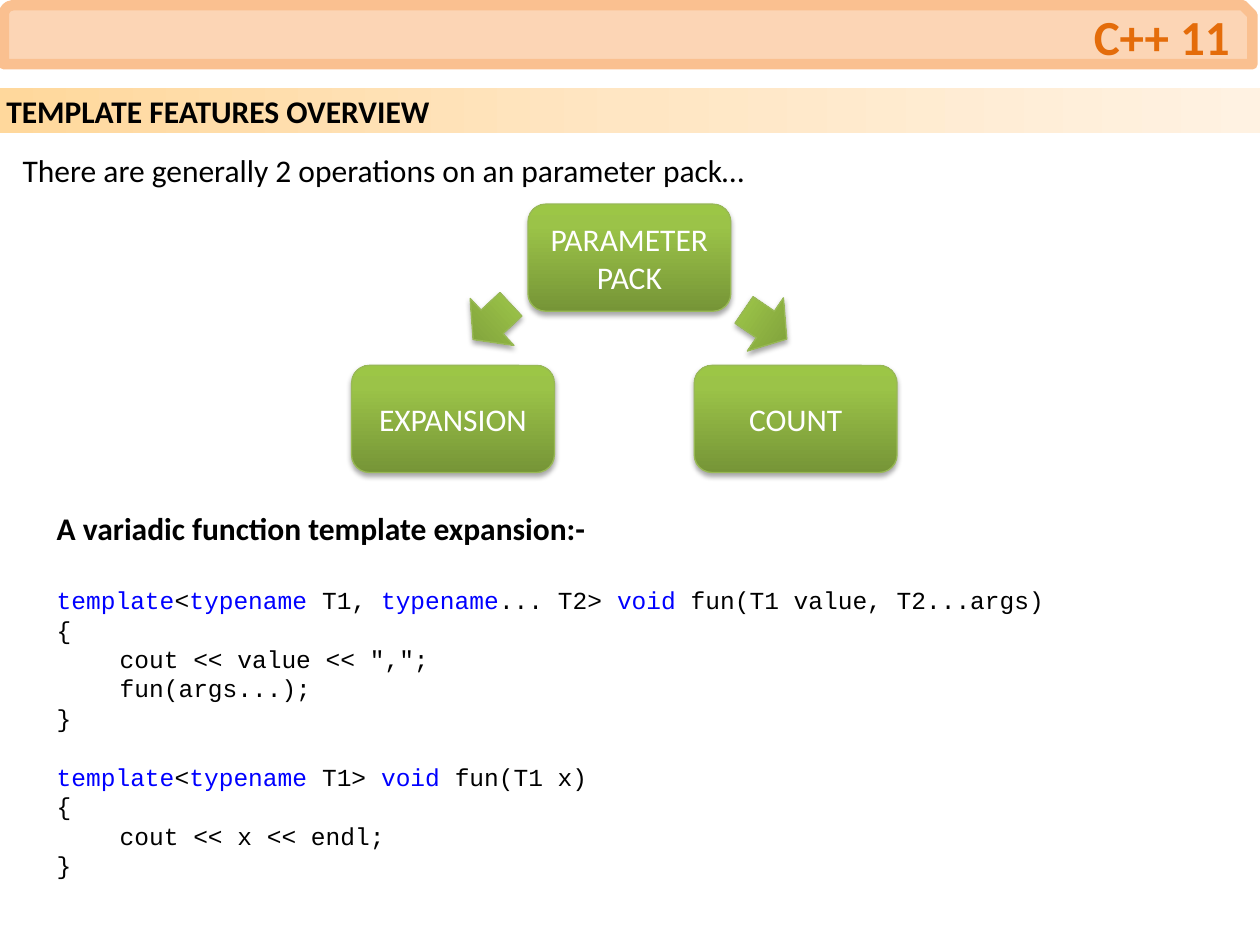
from dataclasses import dataclass

from lxml.etree import SubElement
from pptx import Presentation
from pptx.dml.color import RGBColor
from pptx.enum.shapes import MSO_SHAPE
from pptx.enum.text import MSO_ANCHOR, PP_ALIGN
from pptx.oxml.ns import qn
from pptx.util import Inches, Pt


@dataclass(frozen=True)
class Theme:
    sans: str = "Calibri"
    mono: str = "Courier New"
    title_size: int = 28
    body_size: int = 18
    code_size: int = 14
    code_pitch: float = 16.8
    black: str = "000000"
    white: str = "FFFFFF"
    keyword: str = "0000FF"
    title: str = "E46C0A"
    banner: str = "FCD5B5"
    banner_edge: str = "FAC090"
    node_edge: str = "98B955"
    heading_stops: tuple = ((0, "FFD89C"), (50, "FFE6C3"), (100, "FFF2E2"))
    node_stops: tuple = ((0, "769537"), (80, "9BC348"), (100, "9CC646"))


theme = Theme()


def write(frame, text, font=theme.sans, size=theme.body_size, color=theme.black,
          bold=False, align=PP_ALIGN.LEFT, anchor=MSO_ANCHOR.TOP, before=0, pitch=None):
    frame.word_wrap = True
    frame.vertical_anchor = anchor
    frame.margin_left = frame.margin_right = Inches(0.05)
    frame.margin_top = frame.margin_bottom = Inches(0.05)
    para = frame.paragraphs[0] if not frame.text else frame.add_paragraph()
    para.alignment = align
    if before:
        para.space_before = Pt(before)
    if pitch:
        para.line_spacing = Pt(pitch)
    for index, part in enumerate(text.split("~")):
        if part:
            span = para.add_run()
            span.text = part
            span.font.name = font
            span.font.size = Pt(size)
            span.font.bold = bold
            span.font.color.rgb = RGBColor.from_string(theme.keyword if index % 2 else color)


def shade(shape, stops, angle, raised=False):
    shape.shadow.inherit = False
    shape.line.fill.background()
    shape.fill.gradient()
    gradient = shape.fill._fill._gradFill
    stop_list = gradient.find(qn("a:gsLst"))
    for stop in list(stop_list):
        stop_list.remove(stop)
    for position, color in stops:
        stop = SubElement(stop_list, qn("a:gs"), pos=str(position * 1000))
        SubElement(stop, qn("a:srgbClr"), val=color)
    gradient.find(qn("a:lin")).set("ang", str(angle * 60000))
    if raised:
        shape.line.color.rgb = RGBColor.from_string(theme.node_edge)
        shape.line.width = Pt(0.75)
        effects = shape._element.spPr.find(qn("a:effectLst"))
        shadow = SubElement(effects, qn("a:outerShdw"), blurRad=str(Pt(3)), dist=str(Pt(1.8)),
                            dir=str(90 * 60000), rotWithShape="0")
        tint = SubElement(shadow, qn("a:srgbClr"), val=theme.black)
        SubElement(tint, qn("a:alpha"), val="35000")


deck = Presentation()
deck.slide_width, deck.slide_height = Inches(10), Inches(7.5)
page = deck.slides.add_slide(deck.slide_layouts[6])
shapes = page.shapes

banner = shapes.add_shape(MSO_SHAPE.SNIP_ROUND_RECTANGLE, Inches(0.03), Inches(0.04),
                          Inches(9.91), Inches(0.47))
banner.shadow.inherit = False
banner.fill.solid()
banner.fill.fore_color.rgb = RGBColor.from_string(theme.banner)
banner.line.color.rgb = RGBColor.from_string(theme.banner_edge)
banner.line.width = Pt(6)

title = shapes.add_textbox(Inches(0.15), Inches(0.04), Inches(9.66), Inches(0.49))
write(title.text_frame, "C++ 11", size=theme.title_size, color=theme.title, bold=True,
      align=PP_ALIGN.RIGHT, anchor=MSO_ANCHOR.MIDDLE)

heading = shapes.add_shape(MSO_SHAPE.RECTANGLE, 0, Inches(0.7), Inches(10), Inches(0.36))
shade(heading, theme.heading_stops, 0)
write(heading.text_frame, "TEMPLATE FEATURES OVERVIEW", bold=True, anchor=MSO_ANCHOR.MIDDLE)

intro = shapes.add_textbox(Inches(0.13), Inches(1.15), Inches(9.23), Inches(0.36))
write(intro.text_frame, "There are generally 2 operations on an parameter pack…")

for label, left, top in (("PARAMETER PACK", 4.19, 1.62), ("COUNT", 5.51, 2.9),
                         ("EXPANSION", 2.79, 2.9)):
    node = shapes.add_shape(MSO_SHAPE.ROUNDED_RECTANGLE, Inches(left), Inches(top),
                            Inches(1.61), Inches(0.85))
    shade(node, theme.node_stops, 270, raised=True)
    write(node.text_frame, label, color=theme.white, align=PP_ALIGN.CENTER,
          anchor=MSO_ANCHOR.MIDDLE)

for left, top, turn in ((5.82, 2.37, 304.2), (3.65, 2.35, 47)):
    arrow = shapes.add_shape(MSO_SHAPE.DOWN_ARROW, Inches(left), Inches(top),
                             Inches(0.51), Inches(0.41))
    arrow.rotation = turn
    shade(arrow, theme.node_stops, 270, raised=True)

code_lines = (
    ("~template~<~typename ~T1, ~typename~... T2> ~void~ fun(T1 value, T2...args)", 22),
    ("{", 0),
    ("\tcout << value << \",\";", 0),
    ("\tfun(args...);", 0),
    ("}", 0),
    ("~template~<~typename~ T1> ~void~ fun(T1 x)", theme.code_pitch),
    ("{", 0),
    ("\tcout << x << endl;", 0),
    ("}", 0),
)
code = shapes.add_textbox(Inches(0.4), Inches(3.99), Inches(9.19), Inches(2.96))
write(code.text_frame, "A variadic function template expansion:-", bold=True)
for line, gap in code_lines:
    write(code.text_frame, line, font=theme.mono, size=theme.code_size, before=gap,
          pitch=theme.code_pitch)

deck.save("out.pptx")
